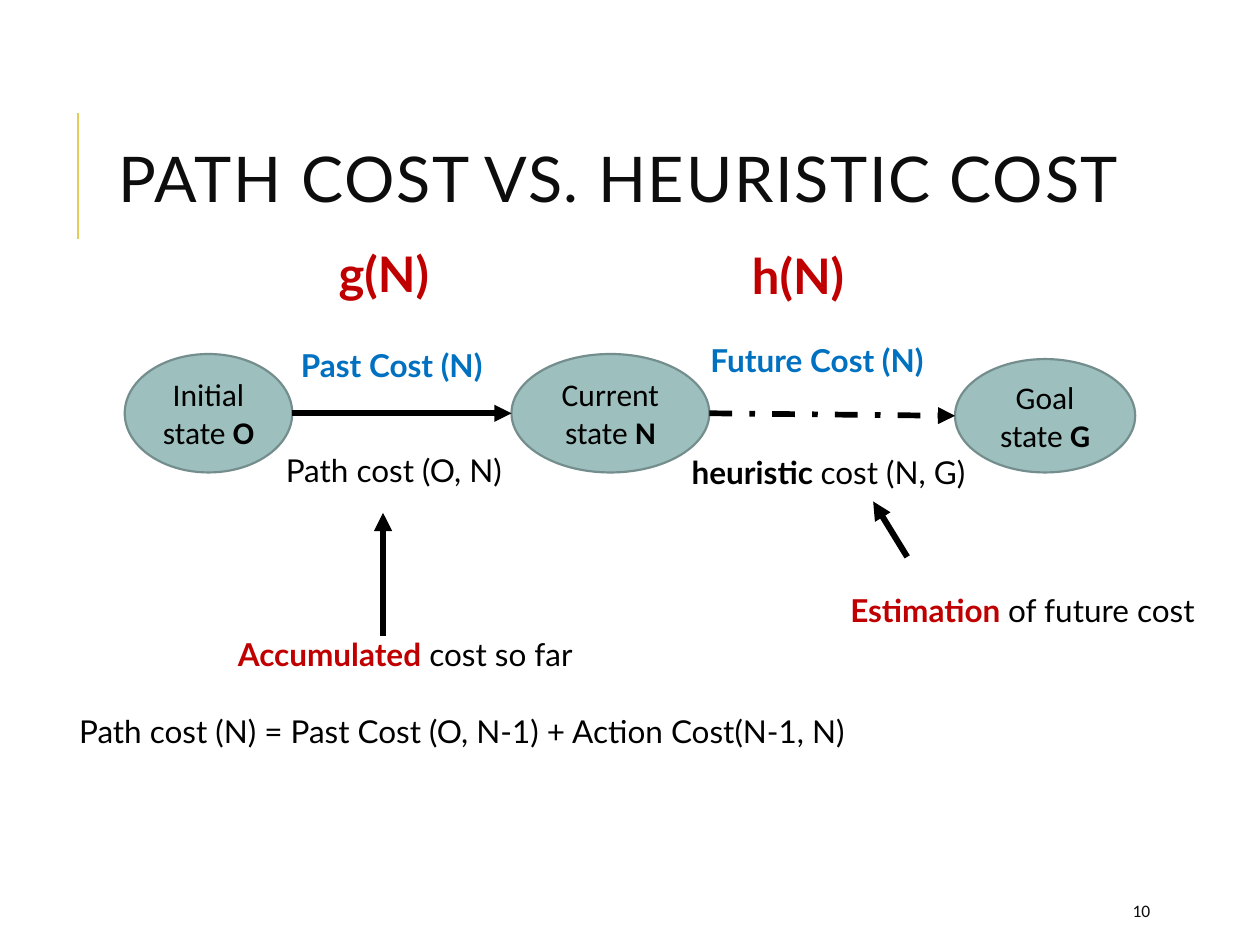
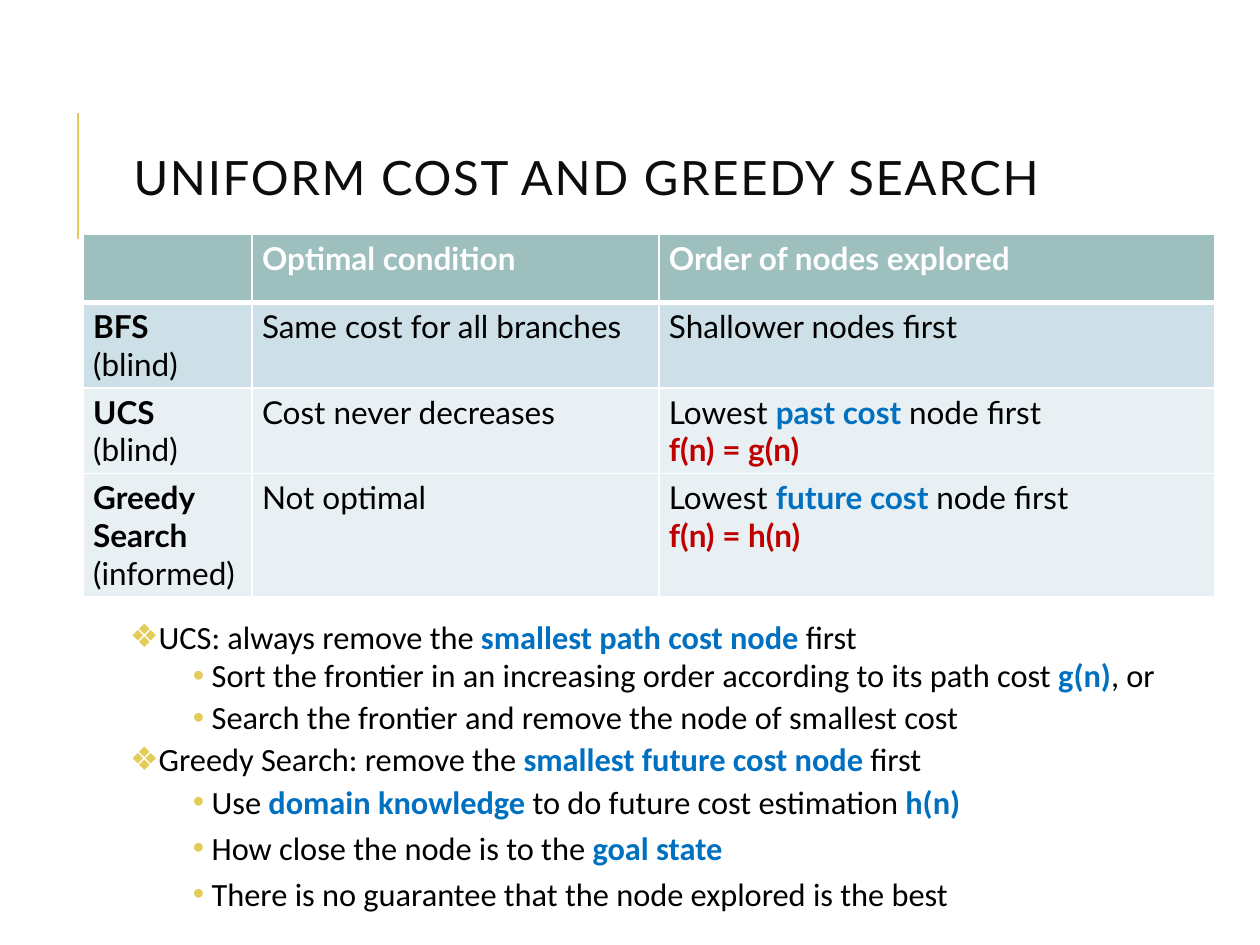
from typing import Any, NamedTuple, Optional

import lxml.etree
import pptx
import pptx.dml.color
import pptx.enum.dml
import pptx.enum.shapes
import pptx.enum.text
import pptx.oxml.ns
import pptx.util

PX = 9144  # EMU in one px, 100 px to the inch
COLORS = {
    "ink": "0D0D0D", "black": "000000", "white": "FFFFFF",
    "blue": "0070C0", "red": "C00000", "gold": "E3CC5A",
    "teal": "9DBFBE", "edge": "748D8D", "band": "CDE0E8", "pale": "E8F0F4",
}
HEAD, BODY = "Lato", "Calibri"
MIDDLE = pptx.enum.text.MSO_ANCHOR.MIDDLE
TOP = pptx.enum.text.MSO_ANCHOR.TOP
LEFT = pptx.enum.text.PP_ALIGN.LEFT
CENTER = pptx.enum.text.PP_ALIGN.CENTER
DASH = pptx.enum.dml.MSO_LINE.DASH_DOT


class Box(NamedTuple):
    left: int
    top: int
    width: int
    height: int


class Run(NamedTuple):
    text: str
    color: str = "black"
    bold: bool = False


class State(NamedTuple):
    box: Box
    name: str
    mark: str


class Label(NamedTuple):
    box: Box
    runs: list[Run]
    size: float = 18
    font: str = HEAD


class Arrow(NamedTuple):
    start: tuple[int, int]
    end: tuple[int, int]
    width: float
    dash: Optional[Any] = None


class Item(NamedTuple):
    runs: list[Run]
    sub: bool = True
    tight: bool = False


def blue(text: str) -> Run:
    return Run(text, "blue", True)


def red(text: str) -> Run:
    return Run(text, "red", True)


def bold(text: str) -> Run:
    return Run(text, bold=True)


# Shared helpers
def px(count: int) -> pptx.util.Emu:
    return pptx.util.Emu(count * PX)


def rgb(name: str) -> pptx.dml.color.RGBColor:
    return pptx.dml.color.RGBColor.from_string(COLORS[name])


def node(parent: Any, tag: str, **attrs: str) -> Any:
    return lxml.etree.SubElement(parent, pptx.oxml.ns.qn(tag), attrs)


def place(shape: Any, box: Box) -> None:
    shape.left, shape.top, shape.width, shape.height = map(px, box)


def write(para: Any, runs: list[Run], size: float, font: str) -> None:
    for part in runs:
        run = para.add_run()
        run.text = part.text
        run.font.name = font
        run.font.size = pptx.util.Pt(size)
        run.font.bold = part.bold
        run.font.color.rgb = rgb(part.color)


def frame(shape: Any, anchor: Any, side: int = 10, edge: int = 5) -> Any:
    text = shape.text_frame
    text.word_wrap = True
    text.auto_size = pptx.enum.text.MSO_AUTO_SIZE.NONE
    text.vertical_anchor = anchor
    text.margin_left = text.margin_right = px(side)
    text.margin_top = text.margin_bottom = px(edge)
    return text


def line(slide: Any, start: tuple[int, int], end: tuple[int, int],
         color: str, width: float) -> Any:
    kind = pptx.enum.shapes.MSO_CONNECTOR.STRAIGHT
    link = slide.shapes.add_connector(kind, *map(px, start + end))
    link.line.color.rgb = rgb(color)
    link.line.width = pptx.util.Pt(width)
    node(link._element.spPr, "a:effectLst")
    return link


def begin(deck: Any, layout: int, title: str, box: Box, size: float,
          side: int = 10, edge: int = 5) -> Any:
    slide = deck.slides.add_slide(deck.slide_layouts[layout])
    line(slide, (62, 190), (62, 90), "gold", 1.5)
    head = slide.shapes.title
    place(head, box)
    para = frame(head, MIDDLE, side, edge).paragraphs[0]
    para.alignment = LEFT
    para.line_spacing = 0.8
    write(para, [Run(title, "ink")], size, HEAD)
    para.runs[0].font._element.set("spc", "100")
    return slide


# Diagram parts
def draw_state(slide: Any, state: State) -> None:
    kind = pptx.enum.shapes.MSO_SHAPE.OVAL
    oval = slide.shapes.add_shape(kind, *map(px, state.box))
    oval.shadow.inherit = False
    oval.fill.solid()
    oval.fill.fore_color.rgb = rgb("teal")
    oval.line.color.rgb = rgb("edge")
    oval.line.width = pptx.util.Pt(1.25)
    para = frame(oval, MIDDLE, 5).paragraphs[0]
    para.alignment = CENTER
    write(para, [Run(state.name + " "), bold(state.mark)], 18, BODY)


def draw_arrow(slide: Any, arrow: Arrow) -> None:
    link = line(slide, arrow.start, arrow.end, "black", arrow.width)
    if arrow.dash is not None:
        link.line.dash_style = arrow.dash
    node(link.line._get_or_add_ln(), "a:tailEnd", type="triangle")


def draw_label(slide: Any, label: Label, anchor: Any = TOP) -> None:
    text = frame(slide.shapes.add_textbox(*map(px, label.box)), anchor)
    write(text.paragraphs[0], label.runs, label.size, label.font)


# Table and list
def fill_cell(cell: Any, lines: list[list[Run]], color: str,
              top: int, bottom: int) -> None:
    cell.margin_left = cell.margin_right = px(8)
    cell.margin_top = cell.margin_bottom = px(4)
    props = cell._tc.get_or_add_tcPr()
    for side, width in zip("LRTB", (1, 1, top, bottom)):
        edge = node(props, f"a:ln{side}", w=str(pptx.util.Pt(width)))
        node(node(edge, "a:solidFill"), "a:srgbClr", val=COLORS["white"])
    cell.fill.solid()
    cell.fill.fore_color.rgb = rgb(color)
    text = cell.text_frame
    for i, runs in enumerate(lines):
        para = text.add_paragraph() if i else text.paragraphs[0]
        write(para, runs, 18, HEAD)


def draw_table(slide: Any, box: Box, cols: list[int], rows: list[int],
               cells: list[list[list[list[Run]]]]) -> None:
    grid = slide.shapes.add_table(len(rows), len(cols), *map(px, box)).table
    grid.horz_banding = False
    for col, width in zip(grid.columns, cols):
        col.width = px(width)
    fills = ["teal", "band", "pale", "pale"]
    for r, height in enumerate(rows):
        grid.rows[r].height = px(height)
        for c, lines in enumerate(cells[r]):
            fill_cell(grid.cell(r, c), lines, fills[r],
                      3 if r == 1 else 1, 3 if r == 0 else 1)


def draw_list(shape: Any, box: Box, items: list[Item]) -> None:
    place(shape, box)
    text = frame(shape, TOP, 5)
    for i, item in enumerate(items):
        para = text.add_paragraph() if i else text.paragraphs[0]
        para.level = 2 if item.sub else 0
        para.line_spacing = 0.9 if item.tight else 1.0
        para.space_before = pptx.util.Pt(0)
        para.space_after = pptx.util.Pt(4 if item.sub else 2)
        props = para._p.get_or_add_pPr()
        left, hang, mark = (65, 15, "•") if item.sub else (10, 10, "❖")
        props.set("marL", str(px(left)))
        props.set("indent", str(px(-hang)))
        node(node(props, "a:buClr"), "a:srgbClr", val=COLORS["gold"])
        node(props, "a:buChar", char=mark)
        write(para, item.runs, 18.5, BODY)


# Slide 1: the two kinds of cost
def cost_slide(deck: Any) -> None:
    slide = begin(deck, 5, "PATH COST VS. HEURISTIC COST",
                  Box(84, 64, 873, 164), 36)
    draw_label(slide, Label(Box(889, 708, 80, 30), [Run("10", "ink")], 10, BODY),
               MIDDLE)
    for state in (
        State(Box(99, 281, 133, 94), "Initial state", "O"),
        State(Box(406, 281, 157, 94), "Current state", "N"),
        State(Box(758, 285, 143, 90), "Goal state", "G"),
    ):
        draw_state(slide, state)
    for arrow in (
        Arrow((232, 328), (406, 328), 3.25),
        Arrow((563, 328), (758, 330), 3.25, DASH),
        Arrow((720, 442), (693, 398), 3.5),
        Arrow((304, 505), (304, 407), 3.5),
    ):
        draw_arrow(slide, arrow)
    for label in (
        Label(Box(259, 188, 120, 57), [red("g(N)")], 28),
        Label(Box(587, 190, 130, 57), [red("h(N)")], 28),
        Label(Box(229, 270, 190, 40), [blue("Past Cost (N)")]),
        Label(Box(554, 266, 217, 40), [blue("Future Cost (N)")]),
        Label(Box(217, 353, 199, 40), [Run("Path cost (O, N)")]),
        Label(Box(533, 355, 267, 40), [bold(" heuristic "), Run("cost (N, G)")]),
        Label(Box(665, 464, 313, 40), [red("Estimation "), Run("of future cost")]),
        Label(Box(179, 499, 484, 40), [red("Accumulated"), Run(" cost so far")]),
        Label(Box(53, 560, 653, 40),
              [Run("Path cost (N) = Past Cost (O, N-1) + Action Cost(N-1, N)")]),
    ):
        draw_label(slide, label)


# Slide 2: the searches compared
def search_slide(deck: Any) -> None:
    slide = begin(deck, 1, "UNIFORM COST AND GREEDY SEARCH",
                  Box(98, 83, 866, 123), 27, 8, 4)
    draw_list(slide.placeholders[1], Box(98, 488, 850, 260), [
        Item([Run("UCS: always remove the "), blue("smallest path cost node "),
              Run("first")], sub=False, tight=True),
        Item([Run("Sort the frontier in an increasing order according to its path cost "),
              blue("g(n)"), Run(", or")], tight=True),
        Item([Run("Search the frontier and remove the node of smallest cost")],
             tight=True),
        Item([Run("Greedy Search: remove the "), blue("smallest future cost node "),
              Run("first")], sub=False, tight=True),
        Item([Run("Use "), blue("domain knowledge "),
              Run("to do future cost estimation "), blue("h(n)")]),
        Item([Run("How close the node is to the "), blue("goal state")]),
        Item([Run("There is no guarantee that the node explored is the best")]),
    ])
    draw_table(slide, Box(66, 186, 898, 286), [134, 323, 441], [54, 67, 67, 98], [
        [[], [[Run("Optimal condition", "white", True)]],
         [[Run("Order of nodes explored", "white", True)]]],
        [[[bold("BFS")], [Run("(blind)")]],
         [[Run("Same cost for all branches")]],
         [[Run("Shallower nodes first")]]],
        [[[bold("UCS")], [Run("(blind)")]],
         [[Run("Cost never decreases")]],
         [[Run("Lowest "), blue("past cost "), Run("node first")],
          [red("f(n) = g(n)")]]],
        [[[bold("Greedy")], [bold("Search")], [Run("(informed)")]],
         [[Run("Not optimal")]],
         [[Run("Lowest "), blue("future cost "), Run("node first")],
          [red("f(n) = h(n)")]]],
    ])


def main() -> None:
    deck = pptx.Presentation()
    deck.slide_width, deck.slide_height = px(1000), px(750)
    cost_slide(deck)
    search_slide(deck)
    deck.save("out.pptx")


if __name__ == "__main__":
    main()
